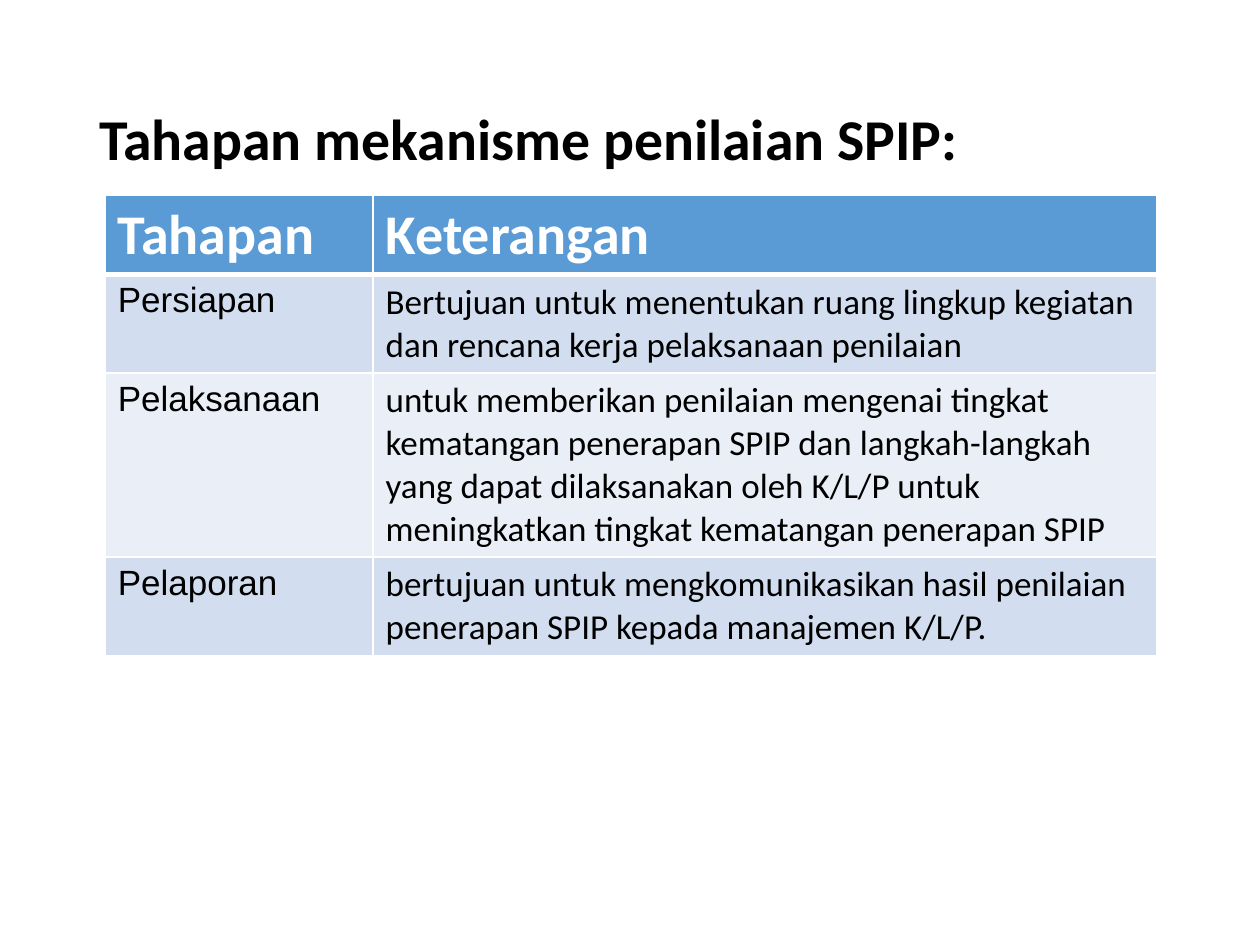
from lxml import etree
from pptx import Presentation
from pptx.dml.color import RGBColor
from pptx.enum.text import MSO_ANCHOR
from pptx.oxml.ns import qn
from pptx.util import Cm, Pt

MIDDLE = MSO_ANCHOR.MIDDLE


def style_text(paragraph, font_name, size, color, bold):
    paragraph.font.name = font_name
    paragraph.font.size = Pt(size)
    paragraph.font.bold = bold
    paragraph.font.color.rgb = RGBColor.from_string(color)


def add_border(cell, side, width):
    properties = cell._tc.get_or_add_tcPr()
    line = etree.SubElement(properties, qn(f"a:{side}"), w=str(Pt(width)))
    fill = etree.SubElement(line, qn("a:solidFill"))
    etree.SubElement(fill, qn("a:srgbClr"), val="FFFFFF")


presentation = Presentation()
presentation.slide_width = Cm(25.4)
presentation.slide_height = Cm(19.05)
slide = presentation.slides.add_slide(presentation.slide_layouts[6])

title = slide.shapes.add_textbox(Cm(1.75), Cm(1.02), Cm(21.9), Cm(3.68))
title.text_frame.word_wrap = True
title.text_frame.vertical_anchor = MIDDLE
title_paragraph = title.text_frame.paragraphs[0]
title_paragraph.text = "Tahapan mekanisme penilaian SPIP:"
title_paragraph.line_spacing = 0.9
style_text(title_paragraph, "Calibri", 33, "000000", True)

stages = [
    ("Tahapan", "Keterangan"),
    ("Persiapan", "Bertujuan untuk menentukan ruang lingkup kegiatan dan rencana kerja pelaksanaan penilaian"),
    ("Pelaksanaan", "untuk memberikan penilaian mengenai tingkat kematangan penerapan SPIP dan "
     "langkah-langkah yang dapat dilaksanakan oleh K/L/P untuk meningkatkan tingkat "
     "kematangan penerapan SPIP"),
    ("Pelaporan", "bertujuan untuk mengkomunikasikan hasil penilaian penerapan SPIP kepada manajemen K/L/P."),
]
row_heights = [1.6, 1.98, 3.71, 1.98]
row_fills = ["5B9BD5", "D2DEEF", "EAEFF7", "D2DEEF"]
column_widths = [5.4, 15.8]

table = slide.shapes.add_table(
    len(stages), len(column_widths), Cm(2.12), Cm(3.93), Cm(sum(column_widths)), Cm(sum(row_heights))
).table
for column, width in zip(table.columns, column_widths):
    column.width = Cm(width)

for row_index, texts in enumerate(stages):
    table.rows[row_index].height = Cm(row_heights[row_index])
    is_header = row_index == 0
    for column_index, text in enumerate(texts):
        cell = table.cell(row_index, column_index)
        for side in ("lnL", "lnR", "lnT", "lnB"):
            touches_header_edge = (row_index, side) in [(0, "lnB"), (1, "lnT")]
            add_border(cell, side, 3 if touches_header_edge else 1)
        cell.fill.solid()
        cell.fill.fore_color.rgb = RGBColor.from_string(row_fills[row_index])
        paragraph = cell.text_frame.paragraphs[0]
        paragraph.text = text
        if is_header:
            style_text(paragraph, "Calibri", 32, "FFFFFF", True)
        else:
            style_text(paragraph, "Calibri" if column_index else "Arial", 20, "000000", False)

presentation.save("out.pptx")
